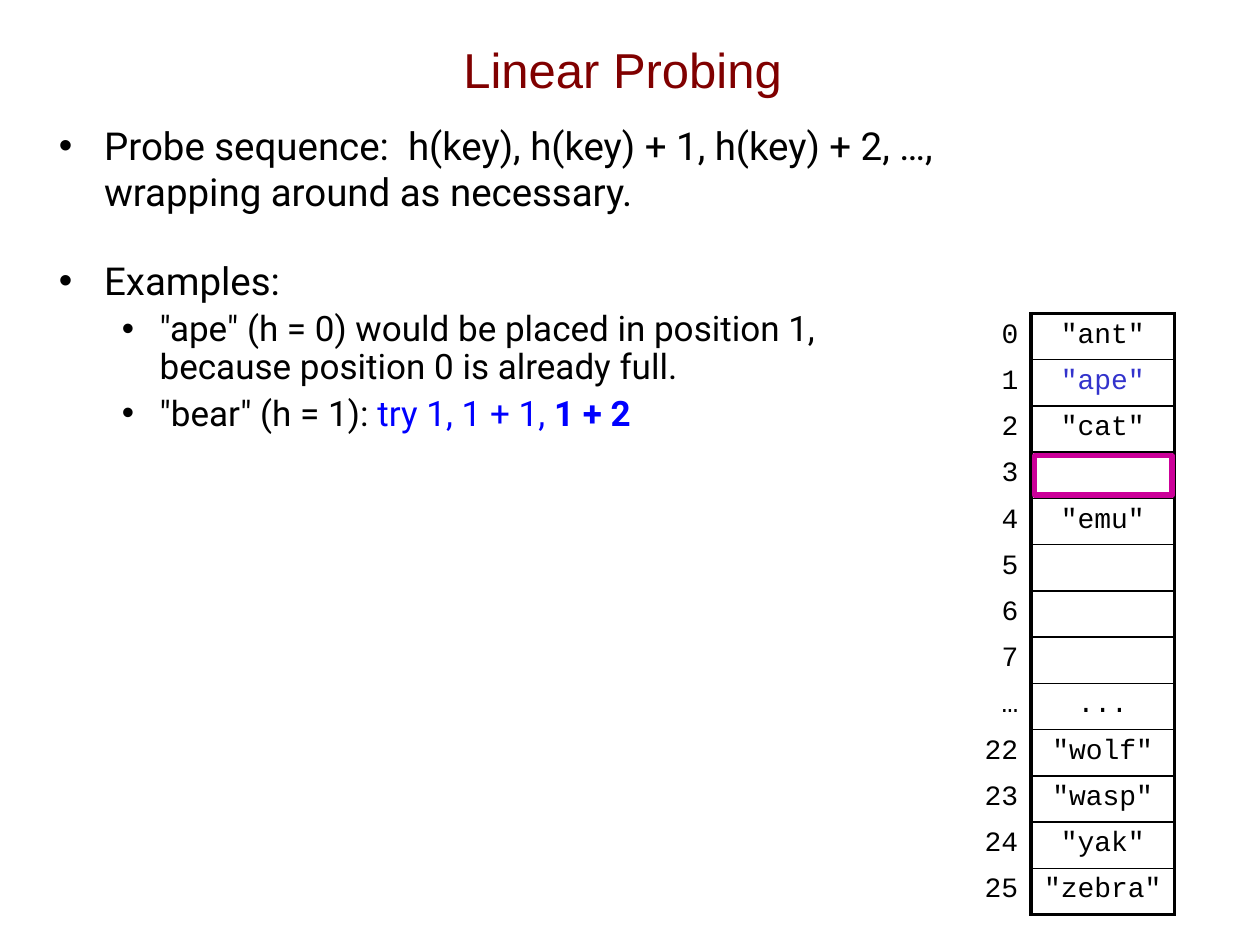
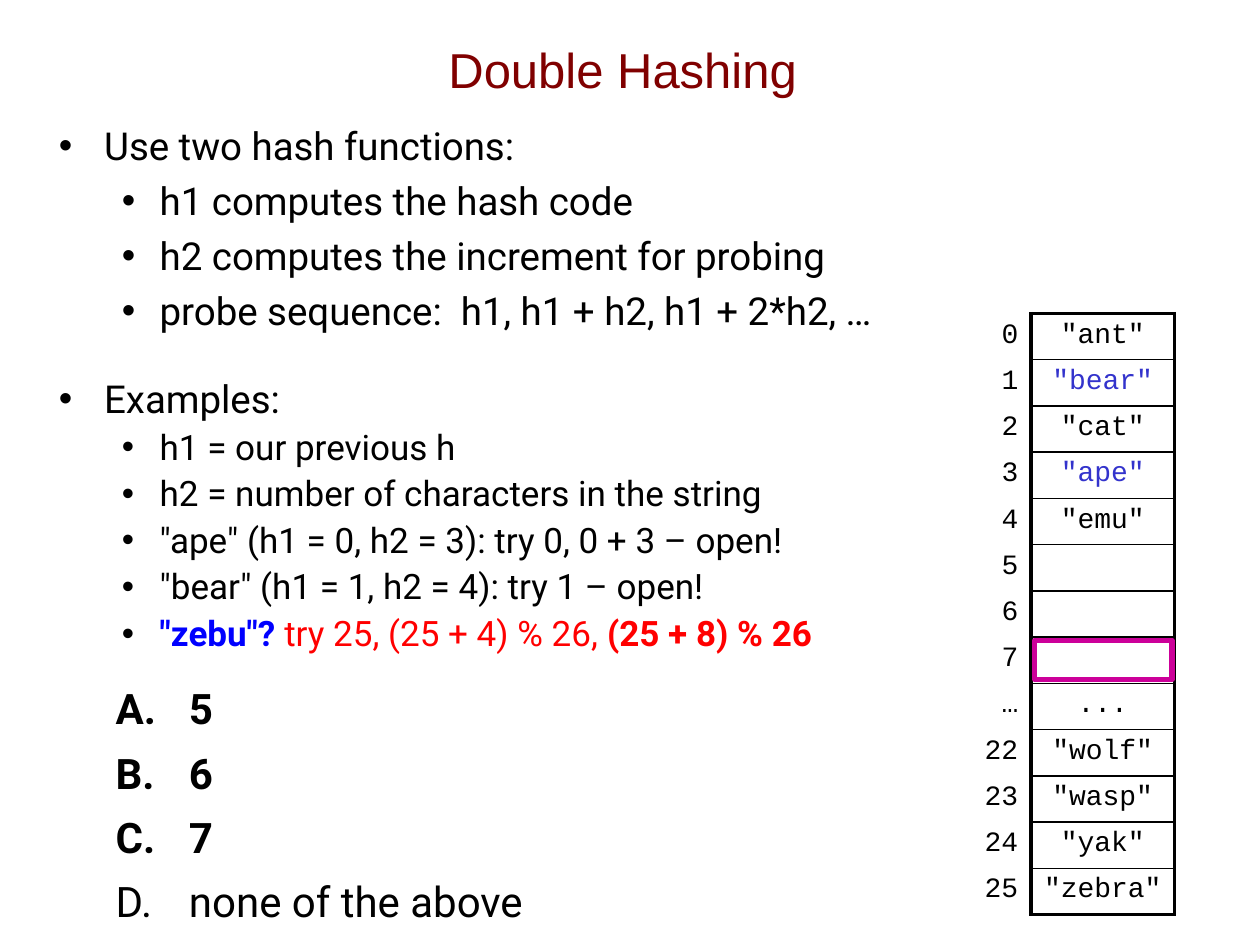
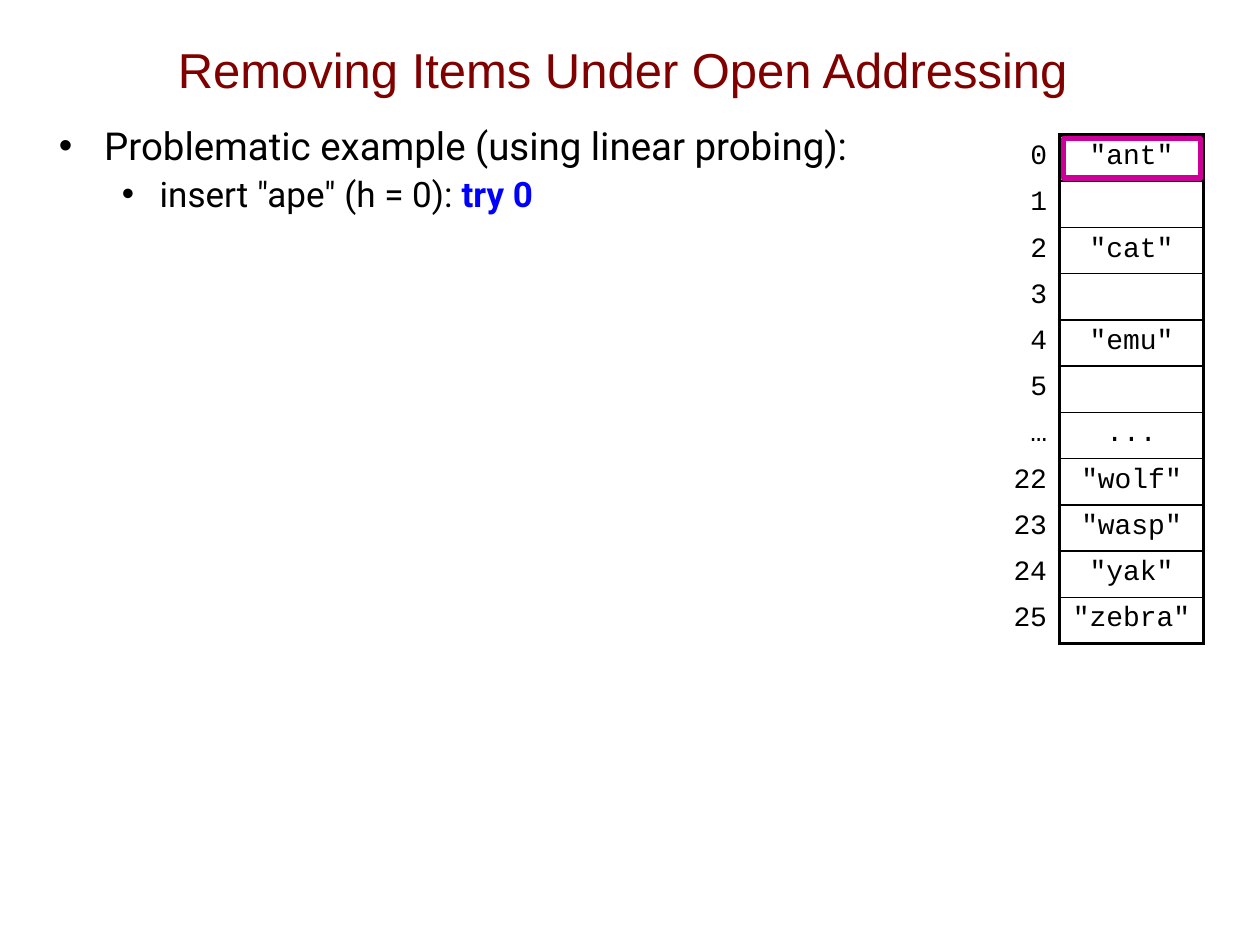
from dataclasses import dataclass

from lxml.etree import SubElement
from pptx import Presentation
from pptx.dml.color import RGBColor
from pptx.enum.shapes import MSO_SHAPE
from pptx.enum.text import MSO_ANCHOR as ANCHOR, PP_ALIGN as ALIGN
from pptx.oxml.ns import qn
from pptx.util import Cm, Pt


# Theme: colours, fonts, type sizes and line widths
@dataclass(frozen=True)
class Theme:
    ink: str = "000000"
    title: str = "800000"
    blue: str = "0000FF"
    red: str = "FF0000"
    added: str = "3333CC"
    marker: str = "CC0099"
    title_font: str = "Arial"
    body_font: str = "Roboto"
    code_font: str = "Courier New"
    title_size: int = 28
    option_size: int = 24
    main_size: int = 22
    sub_size: int = 20
    code_size: int = 16
    frame: float = 2.25
    rule: float = 1
    marker_width: float = 3


THEME = Theme()
ROW, INDEX_W, VALUE_W = 0.93, 2.92, 2.9


def write(p, text, font=THEME.body_font, size=THEME.main_size,
          color=THEME.ink, bold=False):
    """Append text to a paragraph; a newline becomes a line break."""
    for i, line in enumerate(text.split("\n")):
        if i:
            p.add_line_break()
        r = p.add_run()
        r.text = line
        r.font.name, r.font.size, r.font.bold = font, Pt(size), bold
        r.font.color.rgb = RGBColor.from_string(color)


def set_bullet(p, left, hanging, tag, **kind):
    """Indent a paragraph and give it a black bullet or number."""
    pPr = p._p.get_or_add_pPr()
    pPr.set("marL", str(Cm(left)))
    pPr.set("indent", str(-Cm(hanging)))
    SubElement(SubElement(pPr, qn("a:buClr")), qn("a:srgbClr"), val=THEME.ink)
    if tag == "a:buChar":
        SubElement(pPr, qn("a:buFont"), typeface="Arial")
    SubElement(pPr, qn(tag), **kind)


def set_borders(cell, left=0, right=0, top=0, bottom=0):
    """Draw black borders of the given widths; zero hides a side."""
    tcPr = cell._tc.get_or_add_tcPr()
    sides = {"L": left, "R": right, "T": top, "B": bottom}
    for side, width in sides.items():
        ln = SubElement(tcPr, qn(f"a:ln{side}"), w=str(Pt(width)))
        if width:
            fill = SubElement(ln, qn("a:solidFill"))
            SubElement(fill, qn("a:srgbClr"), val=THEME.ink)
        else:
            SubElement(ln, qn("a:noFill"))
    cell.fill.background()


class Deck:
    def __init__(self, theme):
        self.theme = theme
        self.prs = Presentation()
        self.prs.slide_width, self.prs.slide_height = Cm(25.4), Cm(19.05)
        self.s = None

    def slide(self, title):
        self.s = self.prs.slides.add_slide(self.prs.slide_layouts[6])
        tf = self.text_box(1.63, 0.2, 21.84, 2.36)
        tf.vertical_anchor = ANCHOR.MIDDLE
        p = tf.paragraphs[0]
        p.alignment = ALIGN.CENTER
        write(p, title, self.theme.title_font, self.theme.title_size,
              self.theme.title)

    def text_box(self, x, y, w, h):
        tf = self.s.shapes.add_textbox(Cm(x), Cm(y), Cm(w), Cm(h)).text_frame
        tf.word_wrap = True
        return tf

    def paragraphs(self, tf, count):
        return [tf.paragraphs[0]] + [tf.add_paragraph() for _ in range(count - 1)]

    def body(self, items):
        """Write bullets, each a (style, run, run, ...) tuple."""
        t = self.theme
        styles = {  # level, size, line spacing, space before
            "main": (0, t.main_size, 1, 14),
            "section": (0, t.main_size, 1, 24),
            "large sub": (1, t.main_size, 1, 5),
            "sub": (1, t.sub_size, 0.9, 5),
        }
        tf = self.text_box(0.94, 2.34, 23.5, 15.6)
        for p, (style, *runs) in zip(self.paragraphs(tf, len(items)), items):
            p.level, size, p.line_spacing, before = styles[style]
            p.space_before = Pt(before)
            left, hanging = ((0.91, 0.91), (2.03, 0.76))[p.level]
            set_bullet(p, left, hanging, "a:buChar", char="•")
            for run in runs:
                text, look = (run, {}) if isinstance(run, str) else run
                write(p, text, size=size, **look)

    def options(self, answers):
        """List lettered answers; numbers are set in bold."""
        tf = self.text_box(2.08, 13.64, 10.54, 5.08)
        for p, answer in zip(self.paragraphs(tf, len(answers)), answers):
            p.space_before = Pt(8)
            set_bullet(p, 1.48, 1.48, "a:buAutoNum", type="alphaUcPeriod")
            write(p, answer, size=self.theme.option_size, bold=answer.isdigit())

    def hash_table(self, x, y, slots, probed, added=()):
        """Draw the (index, word) slots and frame the one being probed."""
        t = self.theme
        last = len(slots) - 1
        table = self.s.shapes.add_table(
            len(slots), 2, Cm(x), Cm(y), Cm(INDEX_W + VALUE_W),
            Cm(ROW * len(slots))).table
        table.first_row = table.horz_banding = False
        for col, width in zip(table.columns, (INDEX_W, VALUE_W)):
            col.width = Cm(width)
        for i, (index, word) in enumerate(slots):
            table.rows[i].height = Cm(ROW)
            label, value = table.cell(i, 0), table.cell(i, 1)
            color = t.added if word in added else t.ink
            self.cell(label, index, ALIGN.RIGHT, t.ink)
            self.cell(value, word, ALIGN.CENTER, color)
            set_borders(label, right=t.frame)
            set_borders(value, t.frame, t.frame,
                        top=t.rule if i else t.frame,
                        bottom=t.rule if i < last else t.frame)
        self.marker(x + 3, y + ROW * probed + 0.08, 2.77, ROW - 0.14)

    def cell(self, cell, text, align, color):
        p = cell.text_frame.paragraphs[0]
        p.alignment = align
        if text:
            write(p, text, self.theme.code_font, self.theme.code_size, color)
        else:  # keeps an empty row from growing
            SubElement(p._p, qn("a:endParaRPr"),
                       sz=str(self.theme.code_size * 100))

    def marker(self, x, y, w, h):
        sp = self.s.shapes.add_shape(MSO_SHAPE.RECTANGLE, Cm(x), Cm(y), Cm(w), Cm(h))
        sp.shadow.inherit = False
        sp.fill.background()
        sp.line.color.rgb = RGBColor.from_string(self.theme.marker)
        sp.line.width = Pt(self.theme.marker_width)


def slots(*head):
    """Number the first words, then add the end shared by every table."""
    words = [(str(i), f'"{word}"' if word else "") for i, word in enumerate(head)]
    return words + [("…", "..."), ("22", '"wolf"'), ("23", '"wasp"'),
                    ("24", '"yak"'), ("25", '"zebra"')]


def main():
    deck = Deck(THEME)
    blue, red = {"color": THEME.blue}, {"color": THEME.red}
    bold_blue, bold_red = {**blue, "bold": True}, {**red, "bold": True}

    # Linear probing
    deck.slide("Linear Probing")
    deck.body([
        ("main", "Probe sequence:  h(key), h(key) + 1, h(key) + 2, …, \n"
                 "wrapping around as necessary."),
        ("section", "Examples:"),
        ("sub", '"ape" (h = 0) would be placed in position 1, \n'
                "because position 0 is already full."),
        ("sub", '"bear" (h = 1): ', ("try 1, 1 + 1, ", blue), ("1 + 2", bold_blue)),
    ])
    deck.hash_table(17.86, 6.32, slots("ant", "ape", "cat", "", "emu", "", "", ""),
                    probed=3, added=['"ape"'])

    # Double hashing
    deck.slide("Double Hashing")
    deck.body([
        ("main", "Use two hash functions:"),
        ("large sub", "h1 computes the hash code"),
        ("large sub", "h2 computes the increment for probing"),
        ("large sub", "probe sequence:  h1, h1 + h2, h1 + 2*h2, …"),
        ("section", "Examples:"),
        ("sub", "h1 = our previous h"),
        ("sub", "h2 = number of characters in the string"),
        ("sub", '"ape" (h1 = 0, h2 = 3): try 0, 0 + 3 – open!'),
        ("sub", '"bear" (h1 = 1, h2 = 4): try 1 – open!'),
        ("sub", ('"zebu"? ', bold_blue), ("try 25, (25 + 4) % 26, ", red),
         ("(25 + 8) % 26", bold_red)),
    ])
    deck.hash_table(17.86, 6.32,
                    slots("ant", "bear", "cat", "ape", "emu", "", "", ""),
                    probed=7, added=['"ape"', '"bear"'])
    deck.options(["5", "6", "7", "none of the above"])

    # Removing items
    deck.slide("Removing Items Under Open Addressing")
    deck.body([
        ("main", "Problematic example (using linear probing):"),
        ("sub", 'insert "ape" (h = 0): ', ("try 0", bold_blue)),
    ])
    deck.hash_table(18.44, 2.72, slots("ant", "", "cat", "", "emu", ""), probed=0)

    deck.prs.save("out.pptx")


if __name__ == "__main__":
    main()
